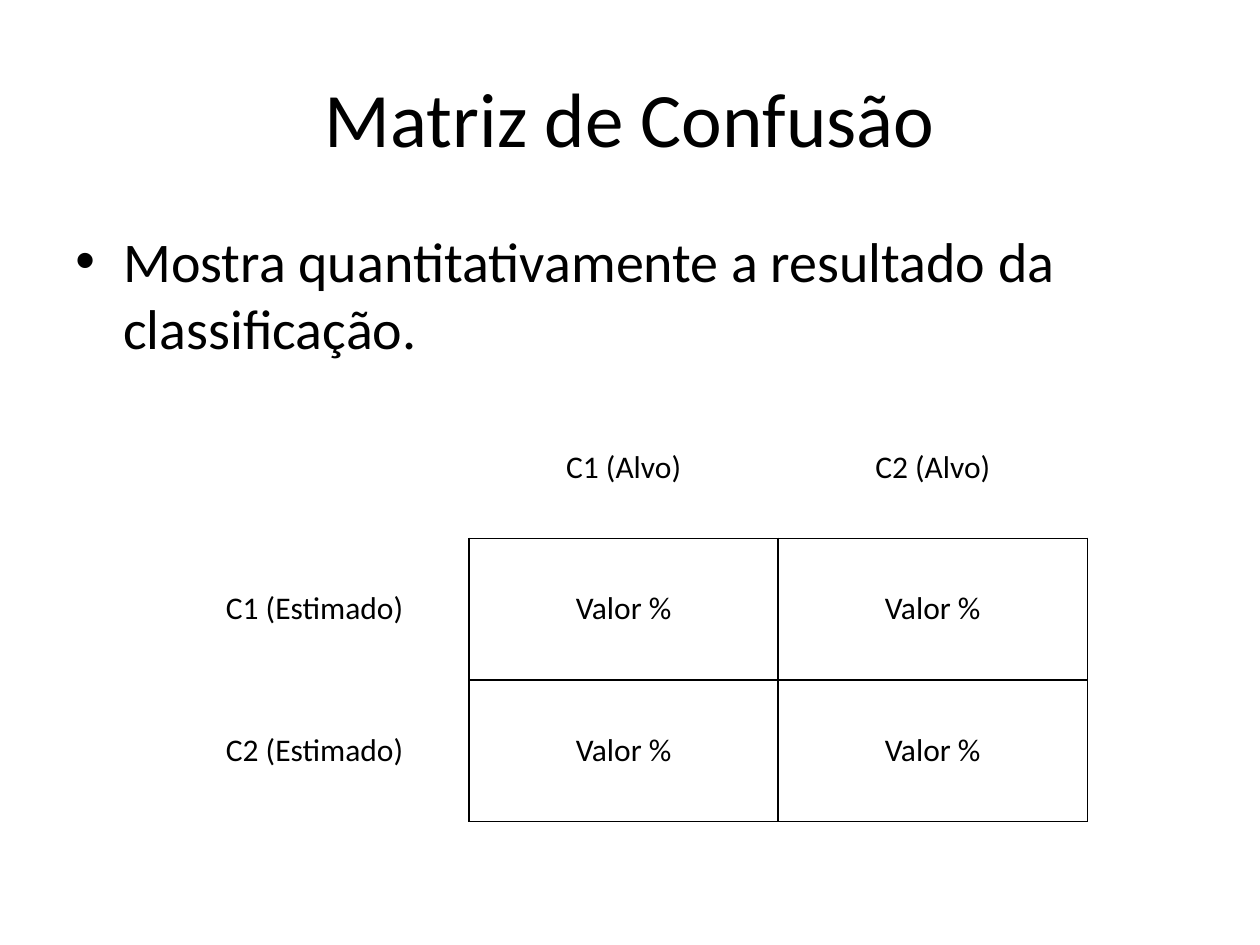
from lxml import etree
from pptx import Presentation
from pptx.dml.color import RGBColor
from pptx.enum import text
from pptx.oxml import ns
from pptx.util import Inches, Pt

COLORS = {"ink": "000000"}
FONT = "Calibri"
MATRIX = [
    ["", "C1 (Alvo)", "C2 (Alvo)"],
    ["C1 (Estimado)", "Valor %", "Valor %"],
    ["C2 (Estimado)", "Valor %", "Valor %"],
]


def add_run(paragraph, wording, size):
    run = paragraph.add_run()
    run.text = wording
    run.font.name = FONT
    run.font.size = Pt(size)
    run.font.color.rgb = RGBColor.from_string(COLORS["ink"])


def add_child(parent, tag, **attributes):
    return etree.SubElement(parent, ns.qn(tag), **attributes)


def add_title(slide, wording):
    title = slide.shapes.title
    title.left, title.top = Inches(0.5), Inches(0.3)
    title.width, title.height = Inches(9), Inches(1.25)
    title.text_frame.vertical_anchor = text.MSO_ANCHOR.MIDDLE
    paragraph = title.text_frame.paragraphs[0]
    paragraph.alignment = text.PP_ALIGN.CENTER
    add_run(paragraph, wording, 44)


def add_bullet(slide, wording):
    body = slide.shapes.add_textbox(Inches(0.5), Inches(1.75), Inches(9), Inches(4.95))
    body.text_frame.word_wrap = True
    paragraph = body.text_frame.paragraphs[0]
    add_run(paragraph, wording, 32)
    properties = paragraph._p.get_or_add_pPr()
    properties.set("marL", str(Inches(0.38)))
    properties.set("indent", str(Inches(-0.38)))
    add_child(add_child(properties, "a:spcBef"), "a:spcPct", val="20000")
    add_child(properties, "a:buFont", typeface="Arial")
    add_child(properties, "a:buChar", char="•")


def set_borders(cell, visible_sides):
    properties = cell._tc.get_or_add_tcPr()
    for side in "LRTB":
        border = add_child(properties, f"a:ln{side}", w=str(Pt(1)))
        if side in visible_sides:
            fill = add_child(border, "a:solidFill")
            add_child(fill, "a:srgbClr", val=COLORS["ink"])
        else:
            add_child(border, "a:noFill")


def visible_borders(row, column):
    if row and column:
        return "LRTB"
    if row:
        return "R"
    return "B" if column else ""


def add_matrix(slide, rows):
    frame = slide.shapes.add_table(
        len(rows), len(rows[0]), Inches(1.27), Inches(3.15), Inches(7.36), Inches(3.37)
    )
    matrix = frame.table
    matrix.first_row = False
    matrix.horz_banding = False
    for r, labels in enumerate(rows):
        for c, label in enumerate(labels):
            cell = matrix.cell(r, c)
            cell.vertical_anchor = text.MSO_ANCHOR.MIDDLE
            set_borders(cell, visible_borders(r, c))
            cell.fill.background()
            if label:
                paragraph = cell.text_frame.paragraphs[0]
                paragraph.alignment = text.PP_ALIGN.CENTER
                add_run(paragraph, label, 18)


def main():
    deck = Presentation()
    deck.slide_width, deck.slide_height = Inches(10), Inches(7.5)
    slide = deck.slides.add_slide(deck.slide_layouts[5])
    add_title(slide, "Matriz de Confusão")
    add_bullet(slide, "Mostra quantitativamente a resultado da classificação.")
    add_matrix(slide, MATRIX)
    deck.save("out.pptx")


if __name__ == "__main__":
    main()
